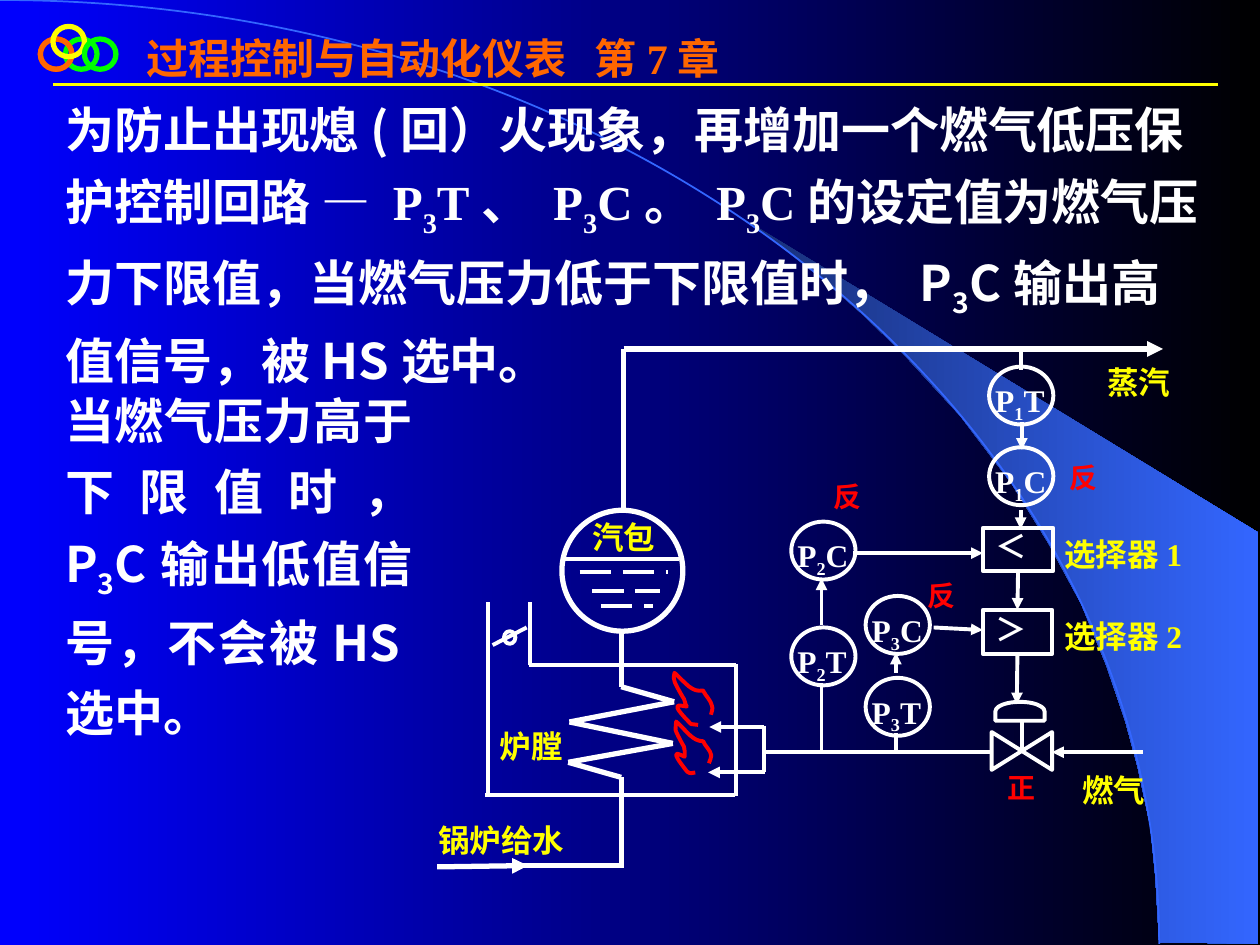
import math
from dataclasses import dataclass

from lxml import etree
from pptx import Presentation
from pptx.dml.color import RGBColor
from pptx.enum import dml, shapes, text
from pptx.oxml import ns
from pptx.util import Pt

PX = 9144
WHITE = RGBColor(255, 255, 255)
BLACK = RGBColor(0, 0, 0)
BLUE = RGBColor(0, 0, 255)
NAVY = RGBColor(0x18, 0x2F, 0x76)
SKY = RGBColor(0x33, 0x66, 0xFF)
YELLOW = RGBColor(255, 255, 0)
RED = RGBColor(255, 0, 0)
VERMILION = RGBColor(255, 0x33, 0)
ORANGE = RGBColor(255, 0x66, 0)
GREEN = RGBColor(0, 255, 0)
SERIF = "Times New Roman"
SANS = "Noto Sans CJK SC"
SHAPE = shapes.MSO_SHAPE
JUSTIFY = text.PP_ALIGN.JUSTIFY
LEFT = text.PP_ALIGN.LEFT


@dataclass
class Label:
    words: str
    left: int
    top: int
    width: int
    height: int = 44
    color: RGBColor = YELLOW
    size: int = 18


@dataclass
class Instrument:
    words: str
    left: int
    top: int


@dataclass
class Pipe:
    start: tuple[int, int]
    end: tuple[int, int]
    weight: float = 2.25
    arrow: bool = False
    dashed: bool = False
    color: RGBColor = WHITE


@dataclass
class Outline:
    kind: shapes.MSO_SHAPE
    left: int
    top: int
    width: int
    height: int
    color: RGBColor = WHITE
    weight: float = 2.25
    rotation: int = 0


@dataclass
class Flame:
    center: tuple[int, int]
    rotation: float
    knots: list[tuple[int, int]]


def set_gradient(fill, first: RGBColor, last: RGBColor) -> None:
    fill.gradient()
    fill.gradient_angle = 0
    for stop, color, position in zip(fill.gradient_stops, (first, last), (0, 1)):
        stop.color.rgb = color
        stop.position = position


def write_runs(paragraph, pieces, size: int, color: RGBColor) -> None:
    for words, font_name in pieces:
        for index, part in enumerate(words.split("|")):
            if not part:
                continue
            run = paragraph.add_run()
            run.text = part
            run.font.size = Pt(size)
            run.font.bold = True
            run.font.color.rgb = color
            run.font.name = font_name
            properties = run.font._element
            etree.SubElement(properties, ns.qn("a:ea")).set("typeface", SANS)
            if index % 2:
                properties.set("baseline", "-25000")


def add_text(slide, left: int, top: int, width: int, height: int, pieces,
             size: int, color: RGBColor, alignment=LEFT) -> None:
    box = slide.shapes.add_textbox(left * PX, top * PX, width * PX, height * PX)
    box.text_frame.word_wrap = True
    paragraph = box.text_frame.paragraphs[0]
    paragraph.line_spacing = 1.2
    paragraph.alignment = alignment
    write_runs(paragraph, pieces, size, color)


def add_label(slide, label: Label) -> None:
    add_text(slide, label.left, label.top, label.width, label.height,
             [(label.words, SERIF)], label.size, label.color)


def add_outline(slide, outline: Outline):
    shape = slide.shapes.add_shape(outline.kind, outline.left * PX, outline.top * PX,
                                   outline.width * PX, outline.height * PX)
    shape.shadow.inherit = False
    shape.fill.background()
    shape.line.color.rgb = outline.color
    shape.line.width = Pt(outline.weight)
    shape.rotation = outline.rotation
    return shape


def add_instrument(slide, instrument: Instrument) -> None:
    add_outline(slide, Outline(SHAPE.OVAL, instrument.left, instrument.top, 51, 46))
    add_label(slide, Label(instrument.words, instrument.left - 5, instrument.top, 64, 34, WHITE))


def add_selector(slide, sign: str, top: int, width: int, height: int):
    shape = add_outline(slide, Outline(SHAPE.RECTANGLE, 780, top, width, height))
    paragraph = shape.text_frame.paragraphs[0]
    paragraph.alignment = LEFT
    paragraph.line_spacing = 0.85
    write_runs(paragraph, [(sign, SANS)], 18, WHITE)
    return shape


def add_pipe(slide, pipe: Pipe):
    line = slide.shapes.add_connector(shapes.MSO_CONNECTOR.STRAIGHT,
                                      *(value * PX for value in pipe.start + pipe.end))
    line.line.color.rgb = pipe.color
    line.line.width = Pt(pipe.weight)
    if pipe.dashed:
        line.line.dash_style = dml.MSO_LINE.LONG_DASH
    if pipe.arrow:
        etree.SubElement(line.line._get_or_add_ln(), ns.qn("a:tailEnd")).set("type", "triangle")
    etree.SubElement(line._element.spPr, ns.qn("a:effectLst"))
    return line


def add_path(slide, points, closed: bool = False):
    builder = slide.shapes.build_freeform(*points[0], scale=PX)
    builder.add_line_segments(points[1:], close=closed)
    shape = builder.convert_to_shape()
    shape.shadow.inherit = False
    shape.fill.background()
    return shape


def add_curve(slide, knots, color: RGBColor, weight: float):
    shape = add_path(slide, knots)
    segments = list(shape._element.iter(ns.qn("a:lnTo")))
    for first in range(0, len(segments), 3):
        curve = etree.SubElement(segments[first].getparent(), ns.qn("a:cubicBezTo"))
        for segment in segments[first:first + 3]:
            curve.append(segment[0])
            segment.getparent().remove(segment)
    shape.line.color.rgb = color
    shape.line.width = Pt(weight)
    return shape


def add_flame(slide, flame: Flame) -> None:
    angle = math.radians(-flame.rotation)
    center_x, center_y = flame.center
    upright = []
    for x, y in flame.knots:
        dx, dy = x - center_x, y - center_y
        upright.append((center_x + dx * math.cos(angle) - dy * math.sin(angle),
                        center_y + dx * math.sin(angle) + dy * math.cos(angle)))
    add_curve(slide, upright, RED, 2.25).rotation = flame.rotation


SWEEP = [(920, 748), (999, 749), (999, 423), (589, 173), (624, 199), (653, 222), (685, 250),
         (716, 280), (762, 330), (803, 384), (832, 431), (858, 479), (878, 528), (893, 572),
         (903, 609), (913, 656), (917, 696)]
HORIZON = [(0, 0), (508, 0), (920, 335), (920, 749)]
FLAMES = [
    Flame((545, 554), 321.6, [
        (554, 575), (552, 574), (550, 575), (548, 574), (530, 556), (539, 560), (545, 561),
        (544, 559), (544, 557), (543, 554), (542, 554), (535, 542), (535, 540), (534, 538),
        (535, 536), (535, 534), (544, 542), (549, 549), (558, 548), (560, 552), (564, 556),
        (565, 560), (566, 563), (564, 564), (564, 567)]),
    Flame((545, 593), 326, [
        (551, 613), (549, 613), (547, 614), (545, 612), (530, 594), (537, 598), (543, 600),
        (543, 597), (543, 595), (542, 593), (542, 592), (536, 581), (536, 579), (535, 577),
        (536, 575), (536, 573), (545, 581), (549, 588), (557, 588), (559, 592), (563, 595),
        (564, 599), (564, 602), (562, 603), (562, 606)]),
]
RINGS = [(32, 31, VERMILION), (52, 31, GREEN), (32, 31, ORANGE), (42, 21, YELLOW), (67, 31, GREEN)]
COIL = [(493, 501), (493, 545), (535, 557), (452, 573), (534, 590), (451, 605), (493, 617),
        (493, 687)]
PIPES = [
    Pipe((42, 67), (967, 67), 1.5, color=YELLOW),
    Pipe((387, 478), (387, 631)), Pipe((584, 527), (584, 632)), Pipe((385, 631), (583, 631)),
    Pipe((420, 528), (584, 528)), Pipe((421, 528), (421, 478)), Pipe((391, 512), (418, 498)),
    Pipe((608, 597), (788, 597)), Pipe((907, 597), (835, 597), arrow=True),
    Pipe((606, 576), (606, 613)), Pipe((606, 577), (563, 577), arrow=True),
    Pipe((607, 613), (562, 613), arrow=True),
    Pipe((495, 687), (414, 687), 3), Pipe((347, 688), (419, 687), 3, arrow=True),
    Pipe((495, 405), (495, 277), 3), Pipe((495, 277), (923, 277), 3, arrow=True),
    Pipe((446, 444), (539, 444)), Pipe((460, 454), (530, 454), dashed=True),
    Pipe((470, 469), (524, 469), dashed=True), Pipe((477, 481), (518, 481), dashed=True),
    Pipe((652, 596), (652, 542)), Pipe((652, 496), (652, 459), arrow=True),
    Pipe((711, 582), (711, 595)), Pipe((711, 534), (711, 518), arrow=True),
    Pipe((810, 277), (810, 294)), Pipe((811, 335), (811, 357), arrow=True),
    Pipe((810, 405), (810, 420), arrow=True), Pipe((741, 498), (780, 500), arrow=True),
    Pipe((677, 439), (780, 439), arrow=True), Pipe((811, 572), (811, 597)),
    *(Pipe(start, end, 3) for start, end in zip(COIL, COIL[1:])),
]
OUTLINES = [
    Outline(SHAPE.OVAL, 446, 405, 96, 96, weight=3),
    Outline(SHAPE.FLOWCHART_CONNECTOR, 400, 501, 9, 10),
    Outline(SHAPE.FLOWCHART_COLLATE, 796, 572, 30, 48, rotation=270),
    Outline(SHAPE.FLOWCHART_DELAY, 802, 545, 15, 39, rotation=270),
]
INSTRUMENTS = [
    Instrument("P|1|T", 785, 291), Instrument("P|1|C", 785, 355),
    Instrument("P|2|C", 628, 414), Instrument("P|2|T", 628, 498),
    Instrument("P|3|C", 687, 473), Instrument("P|3|T", 687, 538),
]
LABELS = [
    Label("燃气", 849, 601, 81), Label("锅炉给水", 338, 641, 146), Label("蒸汽", 869, 277, 89),
    Label("汽包", 460, 400, 89), Label("炉膛", 387, 566, 80),
    Label("选择器1", 835, 414, 127), Label("选择器2", 835, 479, 140),
    Label("正", 790, 601, 59, 42, RED, 16),
    *(Label("反", left, top, 59, 42, RED, 16) for left, top in ((726, 449), (652, 370), (839, 355))),
]
PROTECTION = [
    ("为防止出现熄(回）火现象，再增加一个燃气低压保护控制回路 ", SANS),
    ("— P|3|T、 P|3|C。 P|3|C", SERIF),
    ("的设定值为燃气压力下限值，当燃气压力低于下限值时， P|3|C输出高值信号，被HS选中。", SANS),
]
HIGH_PRESSURE = [("当燃气压力高于下限值时， P|3|C输出低值信号，不会被HS选中。", SANS)]


def add_title(slide) -> None:
    title = slide.shapes.title
    title.left, title.top, title.width, title.height = (value * PX for value in (106, 21, 842, 50))
    frame = title.text_frame
    frame.vertical_anchor = text.MSO_ANCHOR.TOP
    frame.auto_size = text.MSO_AUTO_SIZE.NONE
    paragraph = frame.paragraphs[0]
    paragraph.alignment = LEFT
    tabs = etree.SubElement(paragraph._p.get_or_add_pPr(), ns.qn("a:tabLst"))
    etree.SubElement(tabs, ns.qn("a:tab"), pos=str(356 * PX), algn="l")
    write_runs(paragraph, [("过程控制与自动化仪表\t第7章", SERIF)], 24, ORANGE)
    title._element.getparent().append(title._element)


def add_backdrop(slide) -> None:
    set_gradient(slide.background.fill, BLUE, BLACK)
    sweep = add_path(slide, SWEEP, closed=True)
    set_gradient(sweep.fill, NAVY, SKY)
    sweep.line.fill.background()
    add_curve(slide, HORIZON, SKY, 1)
    for left, top, color in RINGS:
        add_outline(slide, Outline(SHAPE.OVAL, left, top, 25, 24, color, 3))


def add_selectors(slide) -> None:
    lower = add_selector(slide, "＜", 419, 56, 34)
    higher = add_selector(slide, "＞", 484, 55, 35)
    link = add_pipe(slide, Pipe((808, 453), (808, 484), arrow=True))
    link.begin_connect(lower, 2)
    link.end_connect(higher, 0)
    add_pipe(slide, Pipe((808, 519), (807, 559), arrow=True)).begin_connect(higher, 2)


def main() -> None:
    presentation = Presentation()
    presentation.slide_width, presentation.slide_height = 1000 * PX, 750 * PX
    slide = presentation.slides.add_slide(presentation.slide_layouts[5])
    add_backdrop(slide)
    add_title(slide)
    add_text(slide, 42, 65, 925, 250, PROTECTION, 28, WHITE)
    for pipe in PIPES:
        add_pipe(slide, pipe)
    for outline in OUTLINES:
        add_outline(slide, outline)
    for flame in FLAMES:
        add_flame(slide, flame)
    add_selectors(slide)
    for instrument in INSTRUMENTS:
        add_instrument(slide, instrument)
    for label in LABELS:
        add_label(slide, label)
    add_text(slide, 42, 296, 295, 298, HIGH_PRESSURE, 28, WHITE, JUSTIFY)
    presentation.save("out.pptx")


if __name__ == "__main__":
    main()
